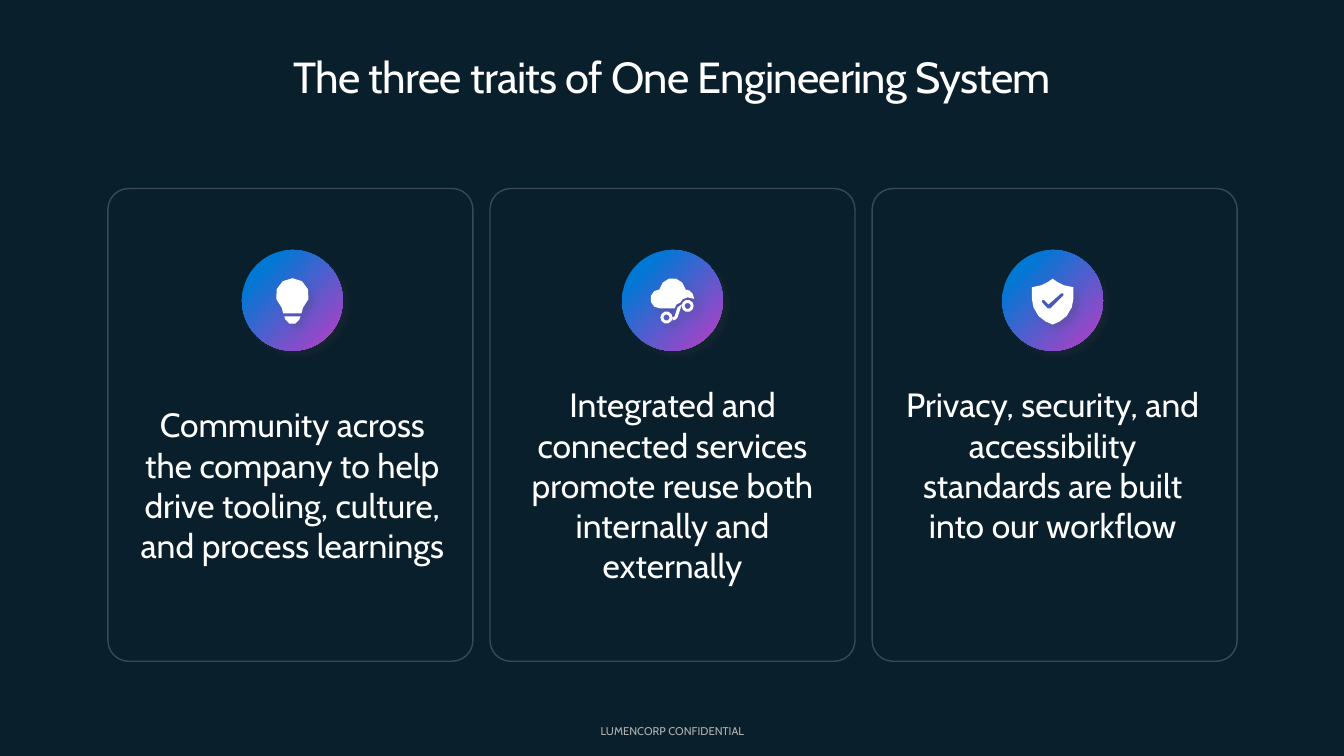
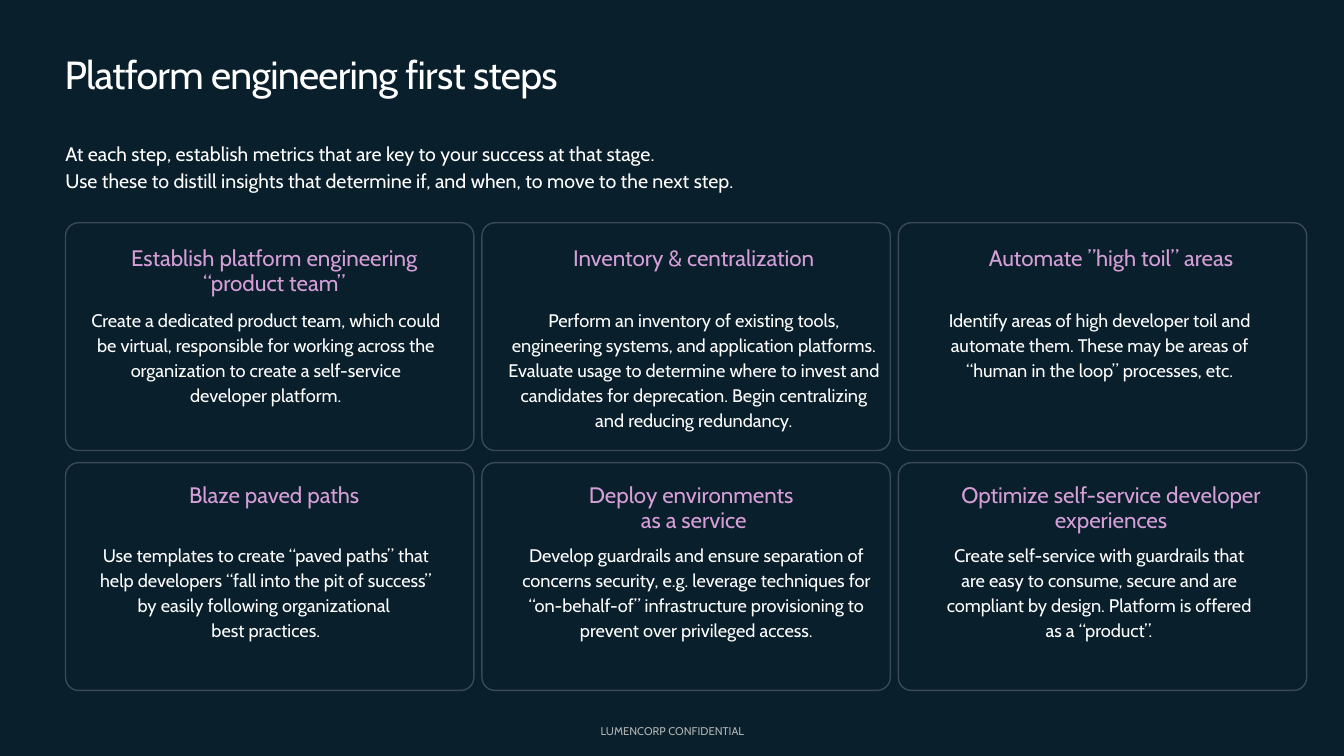
import math

import lxml.etree
import pptx
import pptx.dml.color
import pptx.enum.shapes
import pptx.enum.text
import pptx.oxml
import pptx.oxml.ns
import pptx.util

Inches = pptx.util.Inches
qn = pptx.oxml.ns.qn
SHAPE = pptx.enum.shapes.MSO_SHAPE
ALIGN = pptx.enum.text.PP_ALIGN
ANCHOR = pptx.enum.text.MSO_ANCHOR

FONT = "Cabin"
COLORS = {
    "background": "091F2C",
    "text": "FFFFFF",
    "heading": "D59ED7",
    "footer": "B1B3B3",
    "outline": "3A4953",
    "disc_inner": "C03BC4",
    "disc_outer": "0078D4",
    "shadow": "454142",
}
RGB = {name: pptx.dml.color.RGBColor.from_string(value) for name, value in COLORS.items()}
DRAWING = "http://schemas.openxmlformats.org/drawingml/2006/main"
SHADOW = (
    f'<a:outerShdw xmlns:a="{DRAWING}" blurRad="63500" dist="63500" dir="2700000" '
    f'algn="tl" rotWithShape="0"><a:srgbClr val="{COLORS["shadow"]}">'
    '<a:alpha val="20000"/></a:srgbClr></a:outerShdw>'
)
RADIAL = (
    f'<a:path xmlns:a="{DRAWING}" path="circle">'
    '<a:fillToRect l="100000" t="100000"/></a:path>'
)


def write_text(box, text, size, color="text", align=ALIGN.LEFT, anchor=ANCHOR.TOP,
               margins=(0.1, 0.05), spacing=None, before=0, tracking=None):
    """Fill a box; a newline starts a paragraph and a vertical tab breaks a line."""
    frame = box.text_frame
    frame.word_wrap = True
    frame.auto_size = pptx.enum.text.MSO_AUTO_SIZE.NONE
    frame.vertical_anchor = anchor
    frame.margin_left = frame.margin_right = Inches(margins[0])
    frame.margin_top = frame.margin_bottom = Inches(margins[1])
    frame.text = text
    for para in frame.paragraphs:
        para.alignment = align
        para.space_before = pptx.util.Pt(before)
        if spacing:
            para.line_spacing = spacing
        for span in para.runs:
            span.font.name = FONT
            span.font.size = pptx.util.Pt(size)
            span.font.color.rgb = RGB[color]
            if tracking:
                span._r.get_or_add_rPr().set("spc", str(int(tracking * 100)))


def arc(x, y, radius, start, end):
    """Points along an arc, in degrees clockwise from the right."""
    steps = math.ceil(abs(end - start) / 36)
    angles = [math.radians(start + (end - start) * step / steps) for step in range(steps + 1)]
    return [(x + radius * math.cos(a), y + radius * math.sin(a)) for a in angles]


# Deck, background and title place
deck = pptx.Presentation()
deck.slide_width = Inches(13.33)
deck.slide_height = Inches(7.5)
background = deck.slide_master.background.fill
background.solid()
background.fore_color.rgb = RGB["background"]
layout = deck.slide_layouts.get_by_name("Title Only")
layout_title = layout.placeholders[0]
layout_title.left, layout_title.top = Inches(0.64), Inches(0.5)
layout_title.width, layout_title.height = Inches(12.05), Inches(0.53)

# Slides with their titles
TITLES = [
    ("The three traits of One Engineering System", 31, ALIGN.CENTER),
    ("Platform engineering first steps", 28, ALIGN.LEFT),
]
pages = []
for title, size, align in TITLES:
    page = deck.slides.add_slide(layout)
    write_text(page.shapes.title, title, size, align=align, margins=(0, 0), tracking=-0.5)
    pages.append(page)
traits_page, steps_page = pages

# Footer, moved to the shared layout
footer = traits_page.shapes.add_textbox(Inches(4.47), Inches(7.13), Inches(4.4), Inches(0.24))
write_text(footer, "LUMENCORP CONFIDENTIAL", 8, color="footer", align=ALIGN.CENTER,
           anchor=ANCHOR.MIDDLE, margins=(0.05, 0.05))
layout.shapes.element.append(footer.element)

# Outlined cards: page, columns, rows, left, top, column step, row step, width, height
CARD_GRIDS = [
    (traits_page, 3, 1, 1.07, 1.87, 3.79, 0, 3.62, 4.69),
    (steps_page, 3, 2, 0.65, 2.21, 4.13, 2.38, 4.05, 2.26),
]
for page, columns, rows, left, top, column_step, row_step, width, height in CARD_GRIDS:
    for index in range(columns * rows):
        row, column = divmod(index, columns)
        card = page.shapes.add_shape(
            SHAPE.ROUNDED_RECTANGLE, Inches(left + column * column_step),
            Inches(top + row * row_step), Inches(width), Inches(height))
        card.adjustments[0] = 0.057
        card.shadow.inherit = False
        card.fill.background()
        card.line.color.rgb = RGB["outline"]
        card.line.width = pptx.util.Pt(1)

# Icon outlines, in hundredths of an inch from the disc centre
bulb = [
    arc(0, -5.5, 16.5, 130, 410) + [(9, 13), (-9, 13)],
    [(-8, 16), (8, 16), (7, 19), (3, 23), (-3, 23), (-7, 19)],
]
cloud = [
    arc(-12.5, -1.5, 9.5, 90, 270) + arc(0, -9, 13, 190, 350)
    + arc(12, -1.5, 9.5, 270, 360)
    + [(15, -3), (10, -1), (8, 2), (4, 4), (2, 8)],
    [(9, 4), (5, 7), (2, 16), (0, 17), (0, 20), (3, 19), (5, 17), (8, 8)],
]
for x, y in [(15, 5.5), (-6, 17)]:
    cloud += [arc(x, y, 6, 0, 360), arc(x, y, 3, 360, 0)]
shield_side = [(0, -21.5), (5, -18), (11, -15), (20.5, -13), (20.5, -1),
               (19, 7), (14, 15.5), (7, 21), (0, 24)]
shield = [
    shield_side + [(-x, y) for x, y in reversed(shield_side[1:-1])],
    [(11, -5), (-2, 8), (-5, 8), (-10.5, 2), (-10.5, 0), (-8.5, -0.5), (-4, 4),
     (8.5, -7), (10.5, -7)],
]

# Traits: icon, text, text height
TRAITS = [
    (bulb, "Community across the company to help drive tooling, culture, "
           "and process learnings", 2.02),
    (cloud, "Integrated and connected services promote reuse both internally "
            "and externally", 2.02),
    (shield, "Privacy, security, and accessibility standards are built into our workflow", 1.62),
]
TRAIT_STEP = 3.77
for column, (outlines, text, height) in enumerate(TRAITS):
    shift = column * TRAIT_STEP
    disc = traits_page.shapes.add_shape(
        SHAPE.OVAL, Inches(2.4 + shift), Inches(2.48), Inches(1), Inches(1))
    disc.fill.gradient()
    inner, outer = disc.fill.gradient_stops
    inner.color.rgb, inner.position = RGB["disc_inner"], 0
    outer.color.rgb, outer.position = RGB["disc_outer"], 0.8
    gradient = disc.element.spPr.find(qn("a:gradFill"))
    gradient.replace(gradient.find(qn("a:lin")), lxml.etree.fromstring(RADIAL))

    # Outlines are drawn at 10000 units to the inch
    builder = None
    for outline in outlines:
        points = [(x * 100, y * 100) for x, y in outline]
        if builder is None:
            builder = traits_page.shapes.build_freeform(*points[0], scale=Inches(1) / 10000)
        else:
            builder.move_to(*points[0])
        builder.add_line_segments(points[1:], close=True)
    icon = builder.convert_to_shape(Inches(2.9 + shift), Inches(2.98))
    icon.fill.solid()
    icon.fill.fore_color.rgb = RGB["text"]

    for shape in (disc, icon):
        shape.line.fill.background()
        shape.shadow.inherit = False
        effects = shape.element.spPr.find(qn("a:effectLst"))
        effects.append(lxml.etree.fromstring(SHADOW))

    box = traits_page.shapes.add_textbox(
        Inches(1.35 + shift), Inches(3.8), Inches(3.1), Inches(height))
    write_text(box, text, 24, align=ALIGN.CENTER, anchor=ANCHOR.MIDDLE, margins=(0, 0))

# Introduction to the steps
intro = steps_page.shapes.add_textbox(Inches(0.55), Inches(1.33), Inches(7.86), Inches(0.62))
write_text(intro, "At each step, establish metrics that are key to your success at that stage.\n"
           "Use these to distill insights that determine if, and when, to move to the next step.",
           14, spacing=1.14)

# Steps: heading, left and width of the text, text
STEPS = [
    ("Establish platform engineering “product team”", 0.8, 3.67,
     "Create a dedicated product team, which could be virtual, responsible for working "
     "across the organization to create a self-service developer platform."),
    ("Inventory & centralization", 4.94, 3.88,
     "Perform an inventory of existing tools, engineering systems, and application "
     "platforms. Evaluate usage to determine where to invest and candidates for "
     "deprecation. Begin centralizing and reducing redundancy."),
    ("Automate ”high toil” areas", 9.07, 3.67,
     "Identify areas of high developer toil and automate them. These may be areas of "
     "“human in the loop” processes, etc."),
    ("Blaze paved paths", 0.8, 3.67,
     "Use templates to create “paved paths” that help developers “fall into the pit of "
     "success” by easily following organizational \vbest practices."),
    ("Deploy environments \vas a service", 4.95, 3.91,
     "Develop guardrails and ensure separation of concerns security, e.g. leverage "
     "techniques for “on-behalf-of” infrastructure provisioning to prevent over "
     "privileged access."),
    ("Optimize self-service developer experiences", 9.27, 3.26,
     "Create self-service with guardrails that are easy to consume, secure and are "
     "compliant by design. Platform is offered as a “product”."),
]
HEADING_LEFTS = [0.78, 4.94, 9.08]
for index, (heading, left, width, text) in enumerate(STEPS):
    row, column = divmod(index, 3)
    box = steps_page.shapes.add_textbox(
        Inches(HEADING_LEFTS[column]), Inches(2.4 + row * 2.35), Inches(3.88), Inches(0.6))
    write_text(box, heading, 16, color="heading", align=ALIGN.CENTER, spacing=0.92)
    box = steps_page.shapes.add_textbox(
        Inches(left), Inches(2.99 + row * 2.33), Inches(width), Inches(1.33))
    write_text(box, text, 13, align=ALIGN.CENTER, spacing=1.14)

deck.save("out.pptx")
